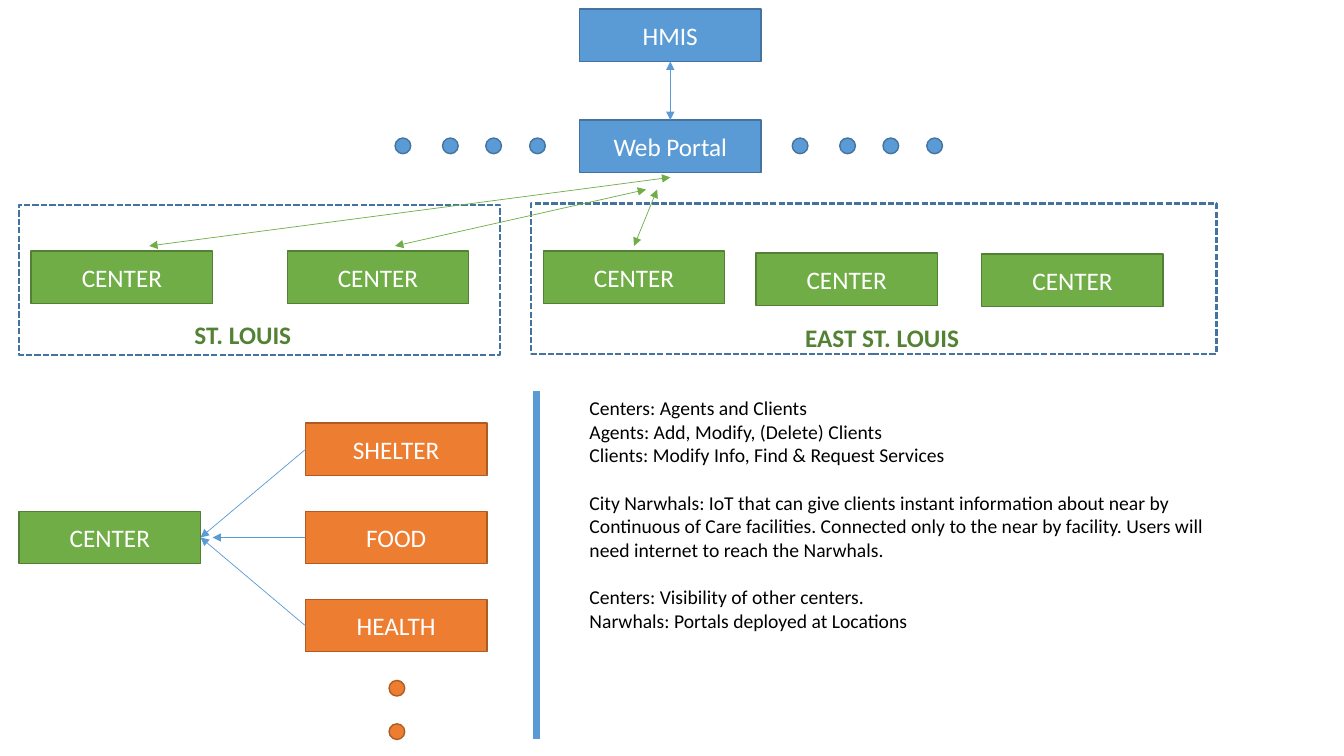
import pptx
import pptx.util
import pptx.dml.color
import pptx.enum.dml
import pptx.enum.shapes
import pptx.enum.text
import pptx.oxml.ns
import lxml.etree

Pt = pptx.util.Pt
SHAPES = pptx.enum.shapes.MSO_SHAPE
BLUE, GREEN, ORANGE = "5B9BD5", "70AD47", "ED7D31"
OUTLINES = {BLUE: "43739E", GREEN: "538035", ORANGE: "AF5C24"}
BOX_WIDTH, BOX_HEIGHT, DOT_SIZE = 129.6, 37.4, 11.2


def paint(color_format, hex_color):
    color_format.rgb = pptx.dml.color.RGBColor.from_string(hex_color)


def add_block(preset, left, top, width, height, color, label=""):
    block = slide.shapes.add_shape(preset, Pt(left), Pt(top), Pt(width), Pt(height))
    block.shadow.inherit = False
    block.fill.solid()
    paint(block.fill.fore_color, color)
    paint(block.line.color, OUTLINES[color])
    block.line.width = Pt(1)
    if label:
        block.text_frame.text = label
        block.text_frame.vertical_anchor = pptx.enum.text.MSO_ANCHOR.MIDDLE
        caption = block.text_frame.paragraphs[0]
        caption.alignment = pptx.enum.text.PP_ALIGN.CENTER
        caption.font.size = Pt(18)
        caption.font.name = "Calibri"
        paint(caption.font.color, "FFFFFF")
    return block


deck = pptx.Presentation()
deck.slide_width, deck.slide_height = Pt(960), Pt(540)
slide = deck.slides.add_slide(deck.slide_layouts[6])

for left, top, width in [(13.7, 146.2, 343.4), (379.4, 145.4, 489.6)]:
    region = add_block(SHAPES.RECTANGLE, left, top, width, 107.3, BLUE)
    region.fill.background()
    region.line.width = Pt(1.5)
    region.line.dash_style = pptx.enum.dml.MSO_LINE.SQUARE_DOT

boxes = [
    ("HMIS", 414, 6.5, BLUE),
    ("Web Portal", 414, 85.7, BLUE),
    ("CENTER", 22.3, 179.3, GREEN),
    ("CENTER", 205.2, 179.3, GREEN),
    ("CENTER", 388.1, 179.3, GREEN),
    ("CENTER", 540, 180.7, GREEN),
    ("CENTER", 701.3, 181.4, GREEN),
    ("CENTER", 13.7, 365.2, GREEN),
]
for row, service in enumerate(["SHELTER", "FOOD", "HEALTH"]):
    boxes.append((service, 218.2, 302.2 + 63 * row, ORANGE))
for label, left, top, color in boxes:
    add_block(SHAPES.RECTANGLE, left, top, BOX_WIDTH, BOX_HEIGHT, color, label)

for group_left in (282.2, 565.9):
    for offset in (0, 33.9, 64.8, 96.1):
        add_block(SHAPES.OVAL, group_left + offset, 98.6, DOT_SIZE, DOT_SIZE, BLUE)
for top in (486, 517):
    add_block(SHAPES.OVAL, 277.9, top, DOT_SIZE, DOT_SIZE, ORANGE)

both_ends, far_end = ("headEnd", "tailEnd"), ("tailEnd",)
links = [
    (478.8, 43.9, 478.8, 85.7, BLUE, 0.5, both_ends),
    (478.8, 126.7, 106.6, 175.7, GREEN, 0.5, both_ends),
    (282.2, 175.7, 461.5, 135.4, GREEN, 0.5, both_ends),
    (452.9, 175.7, 469.4, 135.4, GREEN, 0.5, both_ends),
    (218.2, 321, 143.3, 383.9, BLUE, 0.5, far_end),
    (218.2, 383.9, 151.9, 383.9, BLUE, 0.5, far_end),
    (218.2, 447, 143.3, 383.9, BLUE, 0.5, far_end),
    (383.2, 279.4, 383.2, 527.8, BLUE, 5, ()),
]
for x1, y1, x2, y2, color, weight, arrow_ends in links:
    link = slide.shapes.add_connector(
        pptx.enum.shapes.MSO_CONNECTOR.STRAIGHT, Pt(x1), Pt(y1), Pt(x2), Pt(y2))
    paint(link.line.color, color)
    link.line.width = Pt(weight)
    for end in arrow_ends:
        lxml.etree.SubElement(
            link.line._get_or_add_ln(), pptx.oxml.ns.qn("a:" + end), type="triangle")
    lxml.etree.SubElement(link._element.spPr, pptx.oxml.ns.qn("a:effectLst"))

for city, left, top, width in [("ST. LOUIS", 131.8, 224.6, 84.2),
                               ("EAST ST. LOUIS", 568.1, 226.8, 125.3)]:
    city_label = slide.shapes.add_textbox(Pt(left), Pt(top), Pt(width), Pt(29))
    city_label.text_frame.word_wrap = False
    city_name = city_label.text_frame.paragraphs[0]
    city_name.text = city
    city_name.font.size = Pt(18)
    city_name.font.name = "Calibri"
    city_name.font.bold = True
    paint(city_name.font.color, "548235")

notes = [
    ("Centers: Agents and Clients", 0),
    ("Agents: Add, Modify, (Delete) Clients", 0),
    ("Clients: Modify Info, Find & Request Services", 0),
    ("City Narwhals: IoT that can give clients instant information about near by "
     "Continuous of Care facilities. Connected only to the near by facility. "
     "Users will need internet to reach the Narwhals.", 17),
    ("Centers: Visibility of other centers.", 17),
    ("Narwhals: Portals deployed at Locations", 0),
]
description = slide.shapes.add_textbox(Pt(414), Pt(279.4), Pt(470.2), Pt(177.1)).text_frame
description.word_wrap = True
for index, (sentence, gap) in enumerate(notes):
    note = description.add_paragraph() if index else description.paragraphs[0]
    note.text = sentence
    note.space_before = Pt(gap)
    note.font.size = Pt(14)
    note.font.name = "Calibri"
    paint(note.font.color, "000000")

deck.save("out.pptx")
